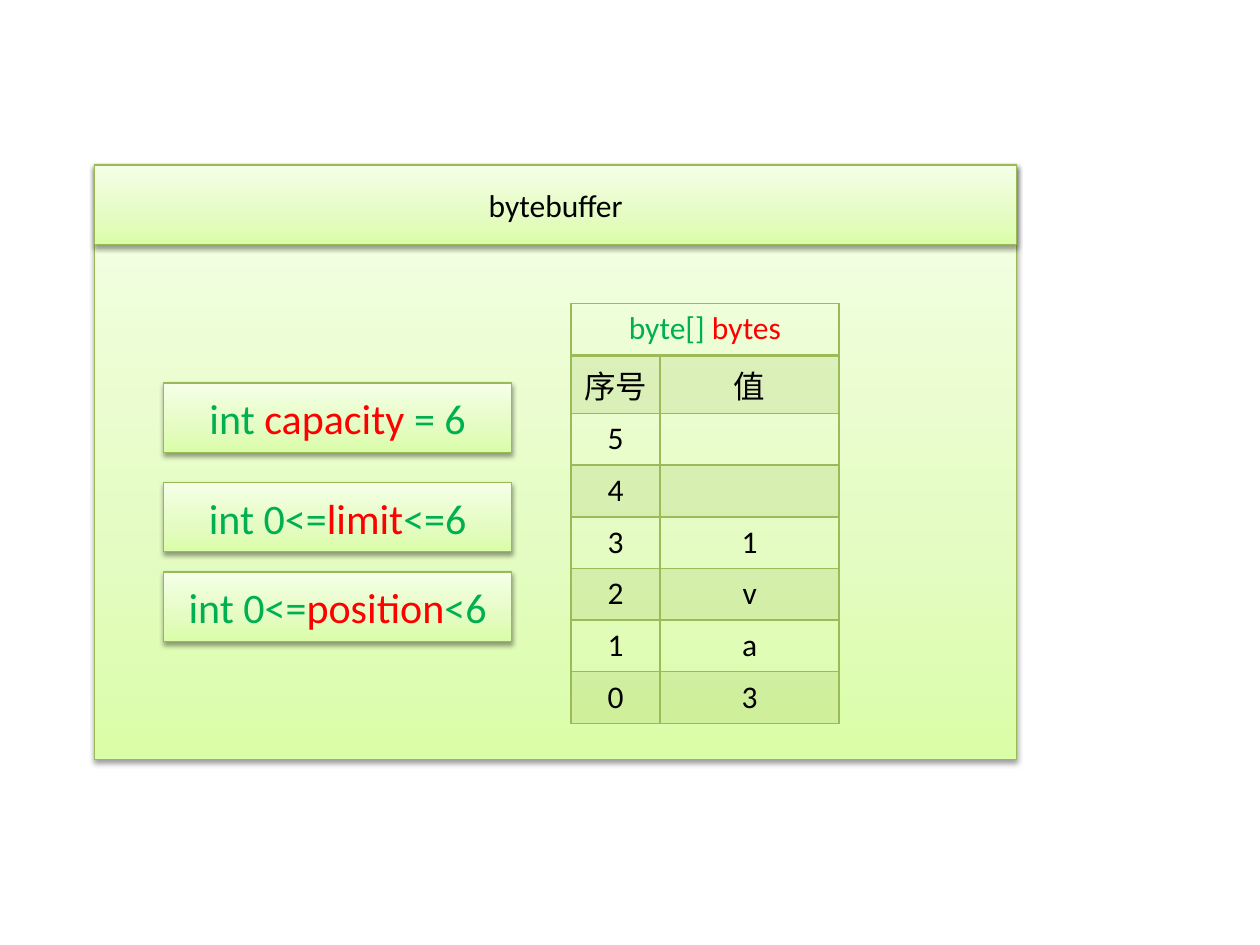
import lxml.etree
import pptx
import pptx.dml.color
import pptx.enum.shapes
import pptx.enum.text
import pptx.oxml
import pptx.oxml.ns
import pptx.util

Inches = pptx.util.Inches
Pt = pptx.util.Pt
NAMESPACE = pptx.oxml.ns.nsdecls("a")

BLACK = "000000"
GREEN = "00B050"
RED = "FF0000"
GRID = "9BBB59"
OUTLINE = "98B955"
GRADIENT = ((0, "DAFDA7"), (35, "E4FCC2"), (100, "F5FFE7"))


def color(value):
    return pptx.dml.color.RGBColor.from_string(value)


class BufferDiagram:
    font_name = "Calibri"

    def __init__(self, slide):
        self.slide = slide

    def add_text(self, text_frame, runs, size):
        paragraph = text_frame.paragraphs[0]
        paragraph.alignment = pptx.enum.text.PP_ALIGN.CENTER
        paragraph.font.name = self.font_name
        paragraph.font.size = Pt(size)
        paragraph.font.bold = False
        for text, run_color in runs:
            run = paragraph.add_run()
            run.text = text
            run.font.color.rgb = color(run_color)

    def box(self, left, top, width, height, runs=(), size=18):
        shape = self.slide.shapes.add_shape(
            pptx.enum.shapes.MSO_SHAPE.RECTANGLE,
            Inches(left), Inches(top), Inches(width), Inches(height))
        shape.line.color.rgb = color(OUTLINE)
        shape.line.width = Pt(0.75)
        self.gradient(shape)
        self.shadow(shape)
        shape.text_frame.vertical_anchor = pptx.enum.text.MSO_ANCHOR.MIDDLE
        if runs:
            self.add_text(shape.text_frame, runs, size)

    def gradient(self, shape):
        shape.fill.gradient()
        shape.fill.gradient_angle = 90
        stops = shape._element.spPr.find(".//" + pptx.oxml.ns.qn("a:gsLst"))
        for stop in list(stops):
            stops.remove(stop)
        for position, value in GRADIENT:
            stops.append(pptx.oxml.parse_xml(
                f'<a:gs {NAMESPACE} pos="{position * 1000}">'
                f'<a:srgbClr val="{value}"/></a:gs>'))

    def shadow(self, shape):
        shape.shadow.inherit = False
        effects = shape._element.spPr.find(pptx.oxml.ns.qn("a:effectLst"))
        effects.append(pptx.oxml.parse_xml(
            f'<a:outerShdw {NAMESPACE} blurRad="{Pt(3.1)}" dist="{Pt(1.6)}" '
            'dir="5400000" rotWithShape="0"><a:srgbClr val="000000">'
            '<a:alpha val="38000"/></a:srgbClr></a:outerShdw>'))

    def table(self, left, top, column_widths, row_height, rows):
        table = self.slide.shapes.add_table(
            len(rows), len(column_widths), Inches(left), Inches(top),
            Inches(sum(column_widths)), Inches(row_height * len(rows))).table
        table.first_row = False
        table.horz_banding = False
        for column, width in zip(table.columns, column_widths):
            column.width = Inches(width)
        table.cell(0, 0).merge(table.cell(0, len(column_widths) - 1))
        for row_index, row in enumerate(rows):
            table.rows[row_index].height = Inches(row_height)
            for column_index, runs in enumerate(row):
                cell = table.cell(row_index, column_index)
                self.add_text(cell.text_frame, runs, 18)
                self.cell_fill(cell, shaded=row_index % 2 == 1)
                self.cell_borders(cell, top=2 if row_index == 1 else 1,
                                  bottom=2 if row_index == 0 else 1)

    def cell_fill(self, cell, shaded):
        if not shaded:
            cell.fill.background()
            return
        cell.fill.solid()
        cell.fill.fore_color.rgb = color(GRID)
        fill_color = cell._tc.tcPr.find(".//" + pptx.oxml.ns.qn("a:srgbClr"))
        lxml.etree.SubElement(
            fill_color, pptx.oxml.ns.qn("a:alpha")).set("val", "20000")

    def cell_borders(self, cell, top, bottom):
        sides = (("lnL", 1), ("lnR", 1), ("lnT", top), ("lnB", bottom))
        for index, (side, width) in enumerate(sides):
            cell._tc.tcPr.insert(index, pptx.oxml.parse_xml(
                f'<a:{side} {NAMESPACE} w="{Pt(width)}"><a:solidFill>'
                f'<a:srgbClr val="{GRID}"/></a:solidFill></a:{side}>'))


def main():
    presentation = pptx.Presentation()
    presentation.slide_width = Inches(10)
    presentation.slide_height = Inches(7.5)
    diagram = BufferDiagram(
        presentation.slides.add_slide(presentation.slide_layouts[6]))

    diagram.box(0.75, 1.31, 7.32, 4.72)

    values = (("序号", "值"), ("5", ""), ("4", ""), ("3", "1"),
              ("2", "v"), ("1", "a"), ("0", "3"))
    rows = [[[("byte[] ", GREEN), ("bytes", RED)], []]]
    rows += [[[(text, BLACK)] if text else [] for text in row]
             for row in values]
    diagram.table(4.53, 2.41, (0.71, 1.42), 0.41, rows)

    diagram.box(0.75, 1.31, 7.32, 0.63, [("bytebuffer", BLACK)])
    fields = ((3.04, "int ", "capacity", " = 6"),
              (3.83, "int 0<=", "limit", "<=6"),
              (4.54, "int 0<=", "position", "<6"))
    for top, before, name, after in fields:
        diagram.box(1.3, top, 2.76, 0.55,
                    [(before, GREEN), (name, RED), (after, GREEN)], 24)

    presentation.save("out.pptx")


if __name__ == "__main__":
    main()
